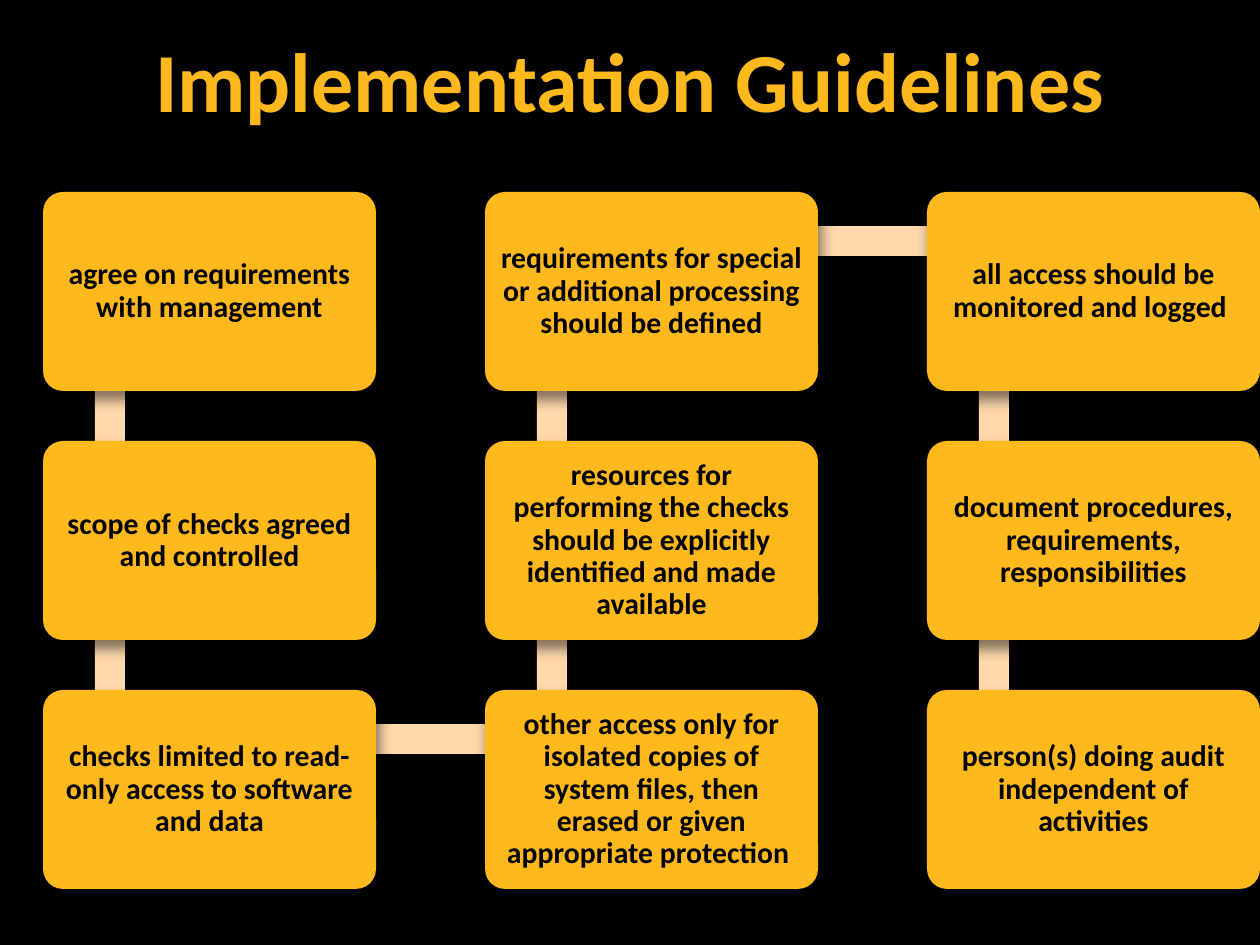
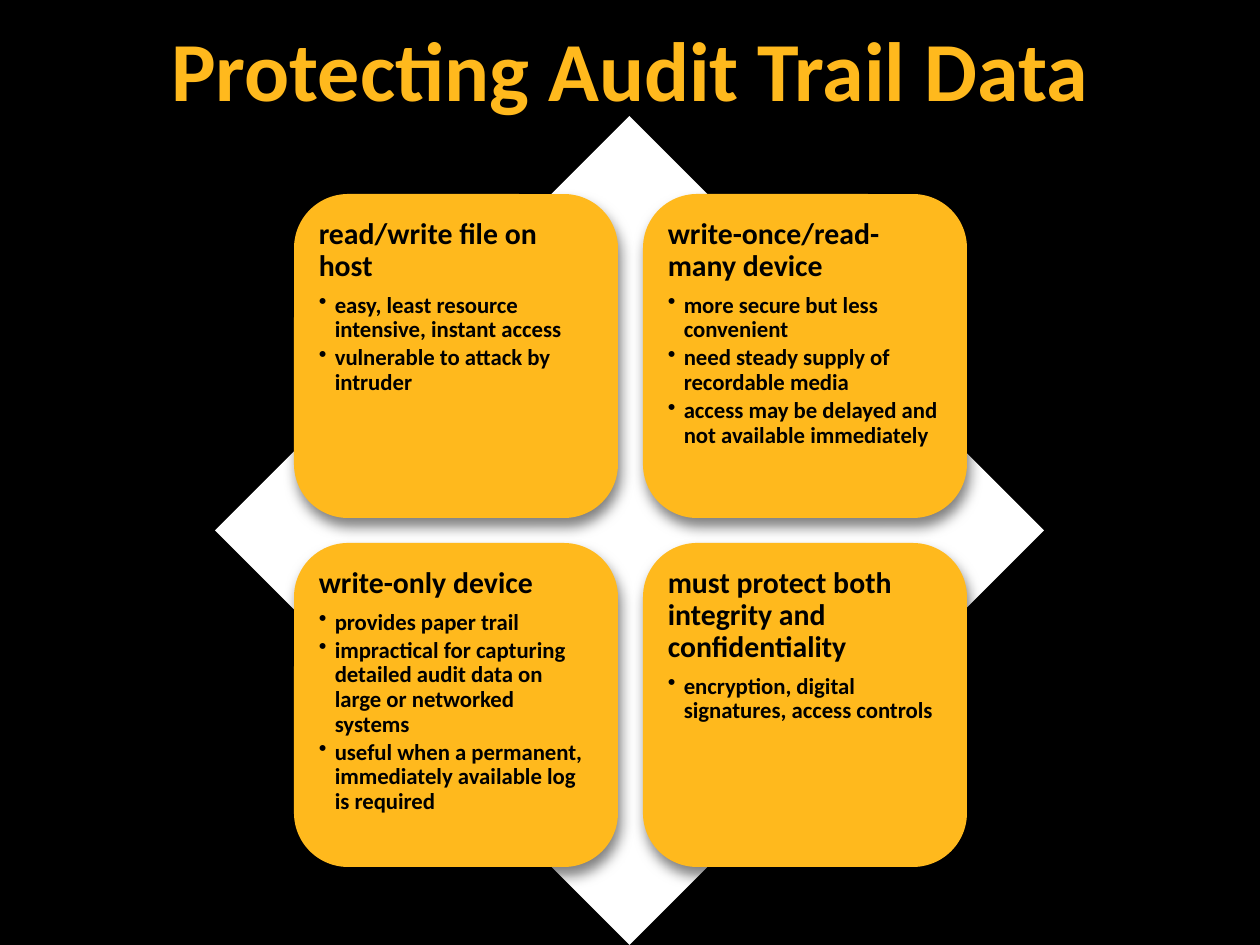
"""Build two dark slides: audit check guidelines as a chain of cards, and audit trail storage as four tiles."""
from lxml.etree import SubElement
from pptx import Presentation
from pptx.dml.color import RGBColor
from pptx.enum.shapes import MSO_SHAPE as Preset
from pptx.enum.text import MSO_ANCHOR as Anchor, PP_ALIGN as Align
from pptx.oxml.ns import qn
from pptx.util import Inches, Pt

PX = 7257
FONT = "Calibri"
BLACK = RGBColor(0x00, 0x00, 0x00)
WHITE = RGBColor(0xFF, 0xFF, 0xFF)
AMBER = RGBColor(0xFF, 0xB9, 0x1D)
PEACH = RGBColor(0xFF, 0xD9, 0xAC)


def add_titled_slide(presentation, title, title_height):
    slide = presentation.slides.add_slide(presentation.slide_layouts[6])
    slide.background.fill.solid()
    slide.background.fill.fore_color.rgb = BLACK
    frame = slide.shapes.add_textbox(0, 0, 1260 * PX, title_height * PX).text_frame
    frame.word_wrap = True
    frame.vertical_anchor = Anchor.MIDDLE
    paragraph = frame.paragraphs[0]
    paragraph.text = title
    paragraph.alignment = Align.CENTER
    paragraph.font.name, paragraph.font.size = FONT, Pt(48)
    paragraph.font.bold = True
    paragraph.font.color.rgb = AMBER
    return slide


def add_block(slide, preset, left, top, width, height, colour):
    shape = slide.shapes.add_shape(preset, left * PX, top * PX, width * PX, height * PX)
    shape.fill.solid()
    shape.fill.fore_color.rgb = colour
    shape.line.fill.background()
    shape.shadow.inherit = False
    effects = shape._element.spPr.find(qn("a:effectLst"))
    shadow = SubElement(effects, qn("a:outerShdw"), blurRad=str(Pt(8)), dist=str(Pt(5)),
                        dir=str(70 * 60000), rotWithShape="0")
    shadow_colour = SubElement(shadow, qn("a:srgbClr"), val=str(BLACK))
    SubElement(shadow_colour, qn("a:alpha"), val="50000")
    frame = shape.text_frame
    frame.word_wrap = True
    frame.margin_left = frame.margin_right = frame.margin_top = frame.margin_bottom = 9 * PX
    return shape


presentation = Presentation()
presentation.slide_width, presentation.slide_height = Inches(10), Inches(7.5)

GUIDELINES = [
    "agree on requirements with management",
    "scope of checks agreed and controlled",
    "checks limited to read-only access to software and data",
    "other access only for isolated copies of system files, then erased or given appropriate protection ",
    "resources for performing the checks should be explicitly identified and made available",
    "requirements for special or additional processing should be defined",
    "all access should be monitored and logged ",
    "document procedures, requirements, responsibilities",
    "person(s) doing audit independent of activities",
]
ROWS = 3
COLUMN_STEP, ROW_STEP = 442, 249
LINK = 30

slide = add_titled_slide(presentation, "Implementation Guidelines", 158)
cells = []
for index in range(len(GUIDELINES)):
    column, row = divmod(index, ROWS)
    if column % 2:
        row = ROWS - 1 - row
    cells.append((43 + column * COLUMN_STEP, 192 + row * ROW_STEP))

for index, (guideline, (left, top)) in enumerate(zip(GUIDELINES, cells)):
    if index + 1 < len(cells):
        next_left, next_top = cells[index + 1]
        joint_x, joint_y = left + 67, min(top, next_top) + 49
        if next_left == left:
            add_block(slide, Preset.RECTANGLE, joint_x - LINK // 2, joint_y, LINK, ROW_STEP, PEACH)
        else:
            add_block(slide, Preset.RECTANGLE, joint_x, joint_y - LINK // 2, COLUMN_STEP, LINK, PEACH)
    card = add_block(slide, Preset.ROUNDED_RECTANGLE, left, top, 333, 199, AMBER)
    card.adjustments[0] = 0.1
    card.text_frame.vertical_anchor = Anchor.MIDDLE
    paragraph = card.text_frame.paragraphs[0]
    paragraph.text = guideline
    paragraph.alignment = Align.CENTER
    paragraph.line_spacing = 0.9
    paragraph.font.name, paragraph.font.size = FONT, Pt(17)
    paragraph.font.bold = True
    paragraph.font.color.rgb = BLACK

STORAGE_OPTIONS = [
    ("read/write file on host",
     "easy, least resource intensive, instant access",
     "vulnerable to attack by intruder"),
    ("write-once/read-many device",
     "more secure but less convenient",
     "need steady supply of recordable media",
     "access may be delayed and not available immediately"),
    ("write-only device",
     "provides paper trail",
     "impractical for capturing detailed audit data on large or networked systems",
     "useful when a permanent, immediately available log is required"),
    ("must protect both integrity and confidentiality",
     "encryption, digital signatures, access controls"),
]
TILE, TILE_STEP = 324, 349

slide = add_titled_slide(presentation, "Protecting Audit Trail Data", 136)
add_block(slide, Preset.DIAMOND, 215, 116, 829, 829, WHITE)
for index, lines in enumerate(STORAGE_OPTIONS):
    row, column = divmod(index, 2)
    tile = add_block(slide, Preset.ROUNDED_RECTANGLE, 294 + column * TILE_STEP,
                     194 + row * TILE_STEP, TILE, TILE, AMBER)
    frame = tile.text_frame
    frame.vertical_anchor = Anchor.TOP
    for number, line in enumerate(lines):
        paragraph = frame.add_paragraph() if number else frame.paragraphs[0]
        paragraph.text = line
        paragraph.alignment = Align.LEFT
        paragraph.line_spacing = 0.9
        paragraph.space_after = Pt(2 if number else 6)
        if number:
            paragraph.level = 1
            properties = paragraph._p.get_or_add_pPr()
            properties.set("marL", str(16 * PX))
            properties.set("indent", str(-16 * PX))
            SubElement(properties, qn("a:buChar"), char="•")
        paragraph.font.name, paragraph.font.size = FONT, Pt(13 if number else 17)
        paragraph.font.bold = True
        paragraph.font.color.rgb = BLACK

presentation.save("out.pptx")
